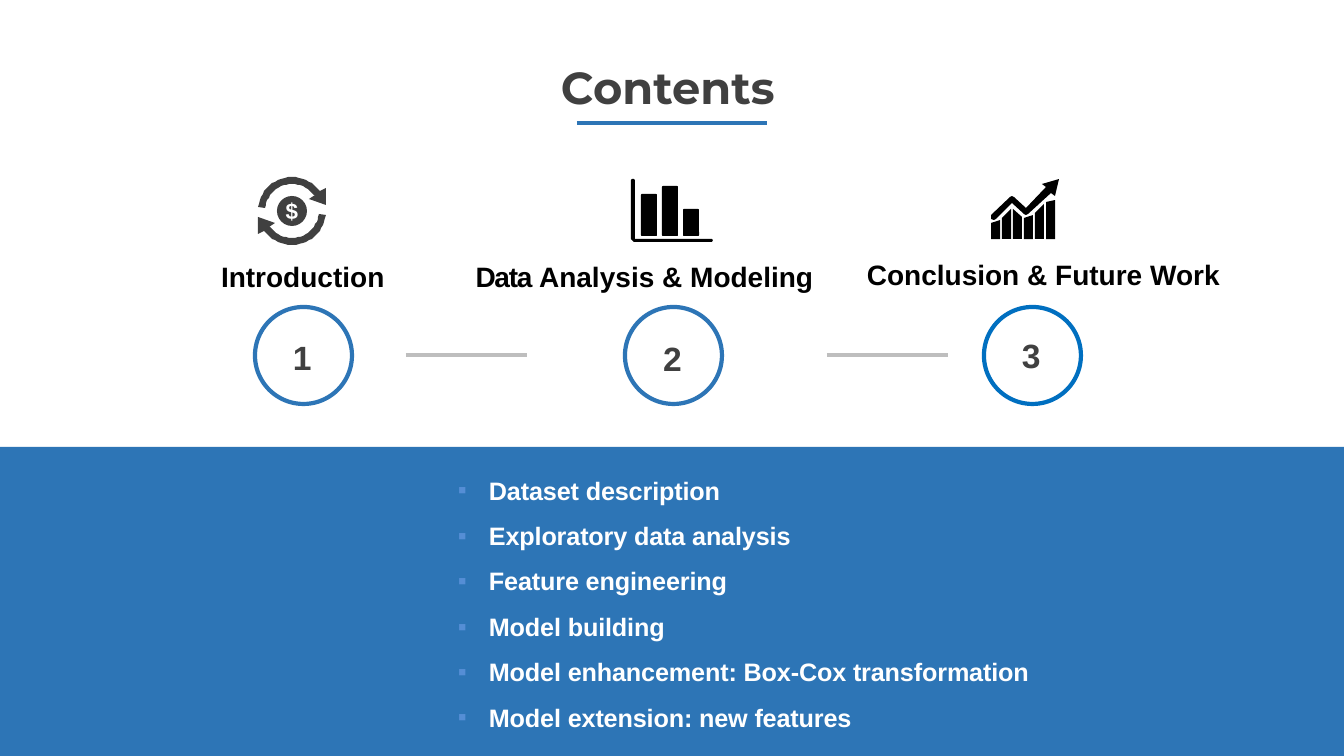
from dataclasses import dataclass
from math import cos, radians, sin

from lxml import etree
from pptx import Presentation
from pptx.dml.color import RGBColor
from pptx.enum.shapes import MSO_CONNECTOR, MSO_SHAPE
from pptx.enum.text import MSO_ANCHOR, PP_ALIGN
from pptx.oxml.ns import qn
from pptx.util import Pt

EMU_PER_PX = 914400 / 100.8
SLIDE_W, SLIDE_H = 1344, 756
STRAIGHT = MSO_CONNECTOR.STRAIGHT
RECT, ROUNDED, OVAL = MSO_SHAPE.RECTANGLE, MSO_SHAPE.ROUNDED_RECTANGLE, MSO_SHAPE.OVAL
LEFT, CENTER = PP_ALIGN.LEFT, PP_ALIGN.CENTER
MIDDLE = MSO_ANCHOR.MIDDLE


@dataclass(frozen=True)
class Theme:
    blue: str = "2D75B6"
    bright_blue: str = "006FC0"
    bullet: str = "558ED5"
    gray: str = "404040"
    rule: str = "BEBEBE"
    black: str = "000000"
    white: str = "FFFFFF"
    body_font: str = "Arial"
    title_font: str = "Montserrat"
    title: int = 32
    number: int = 24
    heading: int = 20
    topic: int = 18
    icon: int = 16
    stroke: float = 3
    thin_stroke: float = 2.25


def px(length):
    return round(length * EMU_PER_PX)


def rgb(color):
    return RGBColor.from_string(color)


class Deck:
    def __init__(self, theme):
        self.theme = theme
        self.prs = Presentation()
        self.prs.slide_width, self.prs.slide_height = px(SLIDE_W), px(SLIDE_H)
        self.slide = self.prs.slides.add_slide(self.prs.slide_layouts[6])
        self.shapes = self.slide.shapes

    def paint(self, shape, fill=None, line=None):
        shape.shadow.inherit = False
        if fill:
            shape.fill.solid()
            shape.fill.fore_color.rgb = rgb(fill)
        else:
            shape.fill.background()
        if line:
            shape.line.color.rgb = rgb(line)
            shape.line.width = Pt(self.theme.stroke)
        else:
            shape.line.fill.background()
        return shape

    def shape(self, kind, left, top, width, height, fill=None, line=None):
        box = (px(v) for v in (left, top, width, height))
        return self.paint(self.shapes.add_shape(kind, *box), fill, line)

    def polygon(self, points, fill):
        builder = self.shapes.build_freeform(*points[0], scale=EMU_PER_PX)
        builder.add_line_segments(points[1:], close=True)
        return self.paint(builder.convert_to_shape(), fill)

    def rule(self, left, right, y, color, width):
        rule = self.shapes.add_connector(STRAIGHT, px(left), px(y), px(right), px(y))
        rule.line.color.rgb = rgb(color)
        rule.line.width = Pt(width)
        etree.SubElement(rule._element.spPr, qn("a:effectLst"))

    def add_runs(self, paragraph, runs, size, color, font=None):
        for text, spacing in runs:
            run = paragraph.add_run()
            run.text = text
            run.font.name = font or self.theme.body_font
            run.font.size = Pt(size)
            run.font.bold = True
            run.font.color.rgb = rgb(color)
            if spacing:
                run._r.get_or_add_rPr().set("spc", str(spacing))

    def frame(self, owner):
        frame = owner.text_frame
        frame.margin_left = frame.margin_right = 0
        frame.margin_top = frame.margin_bottom = 0
        frame.word_wrap = True
        return frame

    def text(self, box, runs, size, color, align=LEFT, font=None):
        frame = self.frame(self.shapes.add_textbox(*(px(v) for v in box)))
        paragraph = frame.paragraphs[0]
        paragraph.alignment = align
        self.add_runs(paragraph, runs, size, color, font)

    def bullets(self, box, items, indent, size, color):
        frame = self.frame(self.shapes.add_textbox(*(px(v) for v in box)))
        for index, item in enumerate(items):
            paragraph = frame.add_paragraph() if index else frame.paragraphs[0]
            paragraph.line_spacing = 1.5
            props = paragraph._p.get_or_add_pPr()
            props.set("marL", str(px(indent)))
            props.set("indent", str(-px(indent)))
            bullet_color = etree.SubElement(props, qn("a:buClr"))
            etree.SubElement(bullet_color, qn("a:srgbClr"), val=self.theme.bullet)
            etree.SubElement(props, qn("a:buFont"), typeface=self.theme.body_font)
            etree.SubElement(props, qn("a:buChar"), char="▪")
            self.add_runs(paragraph, [(item, -10)], size, color)


def arc(radius, start, stop, step):
    return [(radius * cos(radians(a)), -radius * sin(radians(a)))
            for a in range(start, stop, step)]


def draw_money_cycle(deck, x, y):
    theme = deck.theme
    head = [(28, -20), (34, -23), (34, -6), (17, -12), (23, -16)]
    arrow = arc(34, 174, 36, -6) + head + arc(27, 36, 180, 6)
    for turn in (1, -1):
        deck.polygon([(x + turn * dx, y + turn * dy) for dx, dy in arrow], theme.gray)
    coin = deck.shape(OVAL, x - 15, y - 15, 30, 30, theme.gray)
    frame = deck.frame(coin)
    frame.word_wrap = False
    frame.vertical_anchor = MIDDLE
    frame.paragraphs[0].alignment = CENTER
    deck.add_runs(frame.paragraphs[0], [("$", 0)], theme.icon, theme.white)


def draw_bar_chart(deck, x, y):
    axes = [(0, 1), (1, 0), (3, 0), (4, 1), (4, 60), (81, 60), (82, 61),
            (81, 63), (3, 63), (0, 60)]
    deck.polygon([(x + dx, y + dy) for dx, dy in axes], deck.theme.black)
    for index, height in enumerate((42, 50, 27)):
        bar = deck.shape(ROUNDED, x + 10 + 21 * index, y + 57 - height, 16, height,
                         deck.theme.black)
        bar.adjustments[0] = 0.06


def draw_growth(deck, x, base):
    tops = [(16, 19), (21, 30), (30, 22), (21, 24), (26, 35), (37, 39)]
    for index, (start, end) in enumerate(tops):
        left, right = x + 11 * index, x + 11 * index + 9
        deck.polygon([(left, base), (left, base - start), (right, base - end),
                      (right, base)], deck.theme.black)
    trend = [(64, 43), (60, 46), (37, 25), (35, 24), (33, 25), (21, 36), (5, 20),
             (3, 19), (0, 20), (0, 24), (19, 42), (21, 43), (23, 42), (35, 31),
             (55, 52), (51, 55), (68, 60)]
    deck.polygon([(x + dx, base - dy) for dx, dy in trend], deck.theme.black)


def main():
    theme = Theme()
    deck = Deck(theme)

    # Title
    deck.text((561, 60, 226, 48), [("Contents", 0)], theme.title, theme.gray,
              font=theme.title_font)
    deck.rule(577, 767, 123, theme.blue, theme.stroke)

    # Numbered sections
    analysis = [("Data ", -90), ("Anal", 0), ("y", -40), ("sis & Modeling", 0)]
    sections = [
        (255, theme.blue, 337, (221, 259, 168, 31), [("Introduction", 0)], LEFT),
        (625, theme.blue, 338, (460, 259, 369, 34), analysis, CENTER),
        (984, theme.bright_blue, 335, (847, 257, 393, 34),
         [("Conclusion & Future Work", 0)], CENTER),
    ]
    for number, section in enumerate(sections, 1):
        left, ring, number_top, heading_box, heading, align = section
        deck.shape(OVAL, left, 307, 97, 97, line=ring)
        deck.text((left + 38, number_top, 21, 38), [(str(number), 0)],
                  theme.number, theme.gray)
        deck.text(heading_box, heading, theme.heading, theme.black, align)
    for left in (406, 827):
        deck.rule(left, left + 121, 355, theme.rule, theme.thin_stroke)

    # Section icons
    draw_money_cycle(deck, 292, 211)
    draw_bar_chart(deck, 631, 179)
    draw_growth(deck, 991, 239)

    # Topics band
    deck.shape(RECT, 0, 447, SLIDE_W, SLIDE_H - 447, theme.blue)
    topics = ["Dataset description", "Exploratory data analysis",
              "Feature engineering", "Model building",
              "Model enhancement: Box-Cox transformation",
              "Model extension: new features"]
    deck.bullets((458, 460, 679, 290), topics, 31, theme.topic, theme.white)

    deck.prs.save("out.pptx")


if __name__ == "__main__":
    main()
